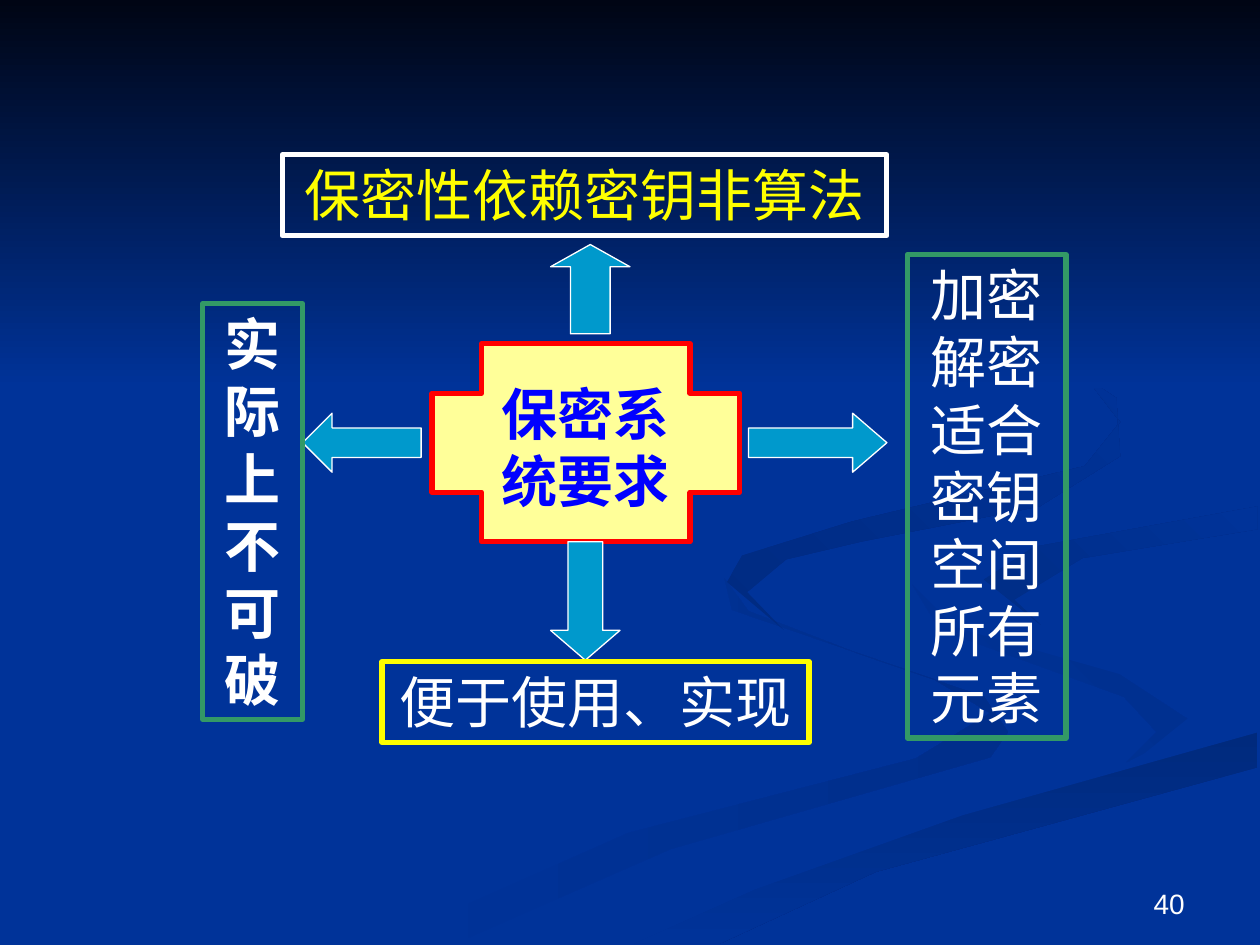
from pptx import Presentation
from pptx.dml.color import RGBColor
from pptx.enum.shapes import MSO_SHAPE
from pptx.enum.text import MSO_ANCHOR, PP_ALIGN
from pptx.util import Cm, Pt

RECTANGLE, CROSS = MSO_SHAPE.RECTANGLE, MSO_SHAPE.CROSS
RIGHT_ARROW, LEFT_ARROW = MSO_SHAPE.RIGHT_ARROW, MSO_SHAPE.LEFT_ARROW
UP_ARROW, DOWN_ARROW = MSO_SHAPE.UP_ARROW, MSO_SHAPE.DOWN_ARROW
TOP, BOTTOM = MSO_ANCHOR.TOP, MSO_ANCHOR.BOTTOM
CENTER, RIGHT = PP_ALIGN.CENTER, PP_ALIGN.RIGHT

COLORS = {
    "background": "003399", "night": "000514", "white": "FFFFFF",
    "yellow": "FFFF00", "cream": "FFFF99", "red": "FF0000",
    "blue": "0000FF", "teal": "0099CC", "green": "339966",
    "shade_1": "002E8B", "shade_2": "002A7D", "shade_3": "002D86", "shade_4": "002B82",
}

# Ribbon outlines in hundredths of an inch: points, start colour, end colour, angle
RIBBON_UNIT = Cm(0.0254)
RIBBONS = [
    ([(781, 553), (682, 519), (594, 485), (575, 459), (581, 484), (741, 539),
      (786, 566), (727, 602), (499, 661), (300, 749), (361, 749), (532, 674),
      (786, 601), (800, 581)], "background", "shade_1", 0),
    ([(943, 571), (888, 535), (758, 498), (724, 464), (746, 500), (892, 553),
      (918, 581), (894, 605), (941, 581)], "background", "shade_1", 45),
    ([(503, 749), (571, 749), (695, 692), (998, 609), (998, 581), (764, 647),
      (599, 706)], "shade_2", "background", 270),
    ([(725, 464), (759, 498), (889, 535), (943, 570), (902, 603), (663, 668),
      (477, 749), (503, 749), (599, 706), (764, 647), (999, 581), (999, 538),
      (817, 492), (781, 463), (865, 424), (999, 402), (999, 387),
      (788, 422)], "background", "background", 0),
    ([(781, 460), (826, 496), (805, 476), (859, 443), (998, 420), (998, 402),
      (821, 434)], "shade_3", "background", 45),
    ([(683, 430), (825, 402), (889, 362), (886, 316), (762, 233), (846, 279),
      (889, 335), (861, 370), (676, 414), (589, 441), (577, 462), (622, 500),
      (593, 470), (624, 444)], "shade_4", "background", 45),
]


def color(name):
    return RGBColor.from_string(COLORS[name])


def fill_gradient(shape, start, end, angle):
    shape.fill.gradient()
    shape.fill.gradient_angle = angle
    for stop, name in zip(shape.fill.gradient_stops, (start, end)):
        stop.color.rgb = color(name)
    shape.line.fill.background()
    shape.shadow.inherit = False


def add_outlined(slide, kind, box, fill, line, width):
    shape = slide.shapes.add_shape(kind, *map(Cm, box))
    shape.shadow.inherit = False
    if fill:
        shape.fill.solid()
        shape.fill.fore_color.rgb = color(fill)
    else:
        shape.fill.background()
    shape.line.color.rgb = color(line)
    shape.line.width = Pt(width)
    return shape


def write(shape, text, name, size=32, bold=False, align=CENTER, anchor=TOP):
    frame = shape.text_frame
    frame.word_wrap = True
    frame.vertical_anchor = anchor
    paragraph = frame.paragraphs[0]
    paragraph.text = text
    paragraph.alignment = align
    formats = {"name": "Arial", "size": Pt(size), "bold": bold}
    for attribute, value in formats.items():
        setattr(paragraph.font, attribute, value)
    paragraph.font.color.rgb = color(name)


def add_backdrop(slide, width, height):
    slide.background.fill.solid()
    slide.background.fill.fore_color.rgb = color("background")
    # Flowing ribbons
    for points, start, end, angle in RIBBONS:
        builder = slide.shapes.build_freeform(*points[0], scale=RIBBON_UNIT)
        builder.add_line_segments(points[1:], close=True)
        fill_gradient(builder.convert_to_shape(), start, end, angle)
    # Dark sky band
    band = slide.shapes.add_shape(RECTANGLE, 0, 0, Cm(width), Cm(height))
    fill_gradient(band, "night", "background", 270)


def add_diagram(slide, left, top):
    def place(x, y, width, height):
        return left + x, top + y, width, height

    # Central cross with its label
    add_outlined(slide, CROSS, place(4.62, 3.81, 6.2, 3.99), "cream", "red", 3)
    label = slide.shapes.add_textbox(*map(Cm, place(5.21, 4.4, 5, 2.97)))
    write(label, "保密系统要求", "blue", bold=True)

    # Arrows towards the four requirements
    arrows = [
        (RIGHT_ARROW, (11, 5.21, 2.79, 1.19), 0.58),
        (LEFT_ARROW, (2.01, 5.21, 2.39, 1.19), 0.5),
        (UP_ARROW, (7.01, 1.81, 1.6, 1.8), 0.28),
        (DOWN_ARROW, (7.01, 7.8, 1.4, 2.39), 0.43),
    ]
    for kind, box, head in arrows:
        arrow = add_outlined(slide, kind, place(*box), "teal", "white", 0.75)
        arrow.adjustments[1] = head

    # Requirement boxes
    requirements = [
        ("实际上不可破", (0, 3, 2.01, 8.38), "green", "white", True),
        ("保密性依赖密钥非算法", (1.6, 0, 12.19, 1.63), "white", "yellow", False),
        ("便于使用、实现", (3.61, 10.22, 8.61, 1.63), "yellow", "white", False),
        ("加密解密适合密钥空间所有元素", (14.2, 2.01, 3.2, 9.75), "green", "white", False),
    ]
    for text, box, line, text_color, bold in requirements:
        shape = add_outlined(slide, RECTANGLE, place(*box), None, line, 3)
        write(shape, text, text_color, bold=bold)


def add_page_number(slide, box, number):
    shape = slide.shapes.add_textbox(*map(Cm, box))
    write(shape, number, "white", size=16, align=RIGHT, anchor=BOTTOM)


def main():
    presentation = Presentation()
    presentation.slide_width, presentation.slide_height = Cm(25.4), Cm(19.05)
    slide = presentation.slides.add_slide(presentation.slide_layouts[6])
    add_backdrop(slide, 25.4, 7.82)
    add_diagram(slide, 4.09, 3.12)
    add_page_number(slide, (18.21, 17.35, 5.92, 1.32), "40")
    presentation.save("out.pptx")


if __name__ == "__main__":
    main()
